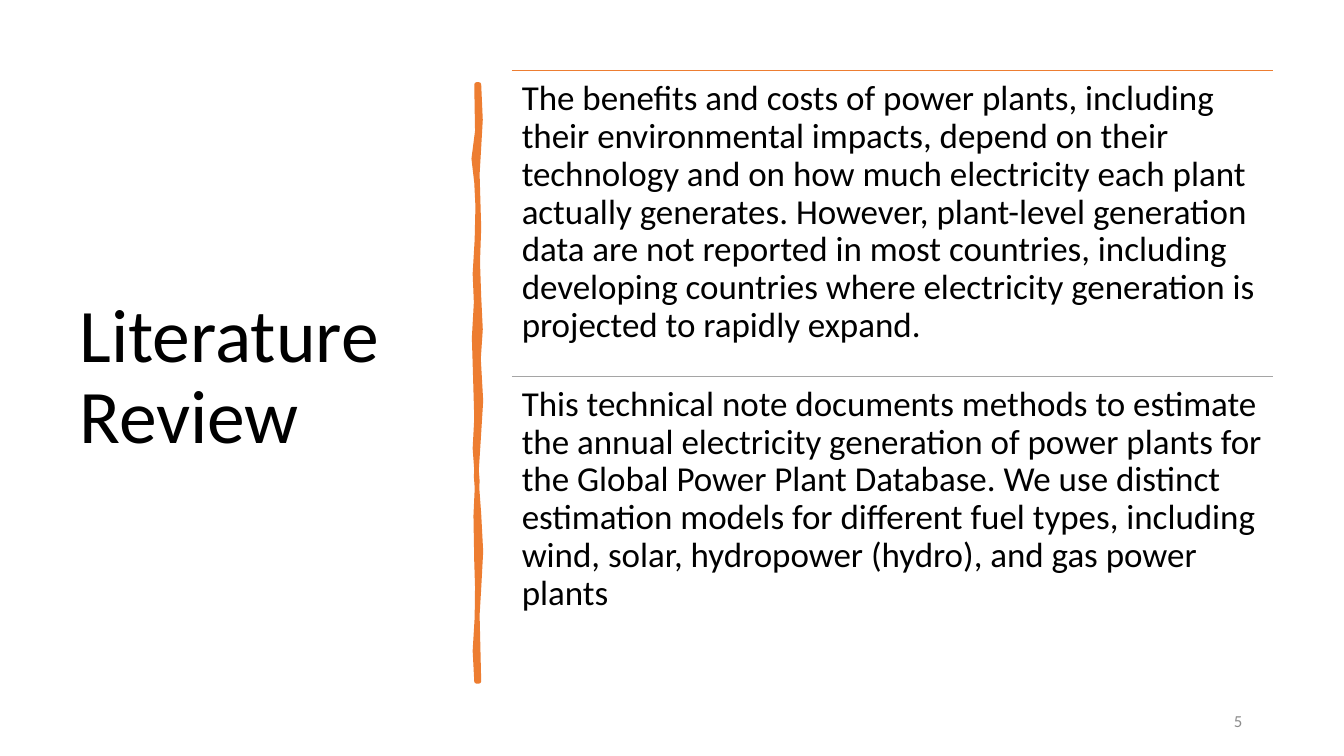
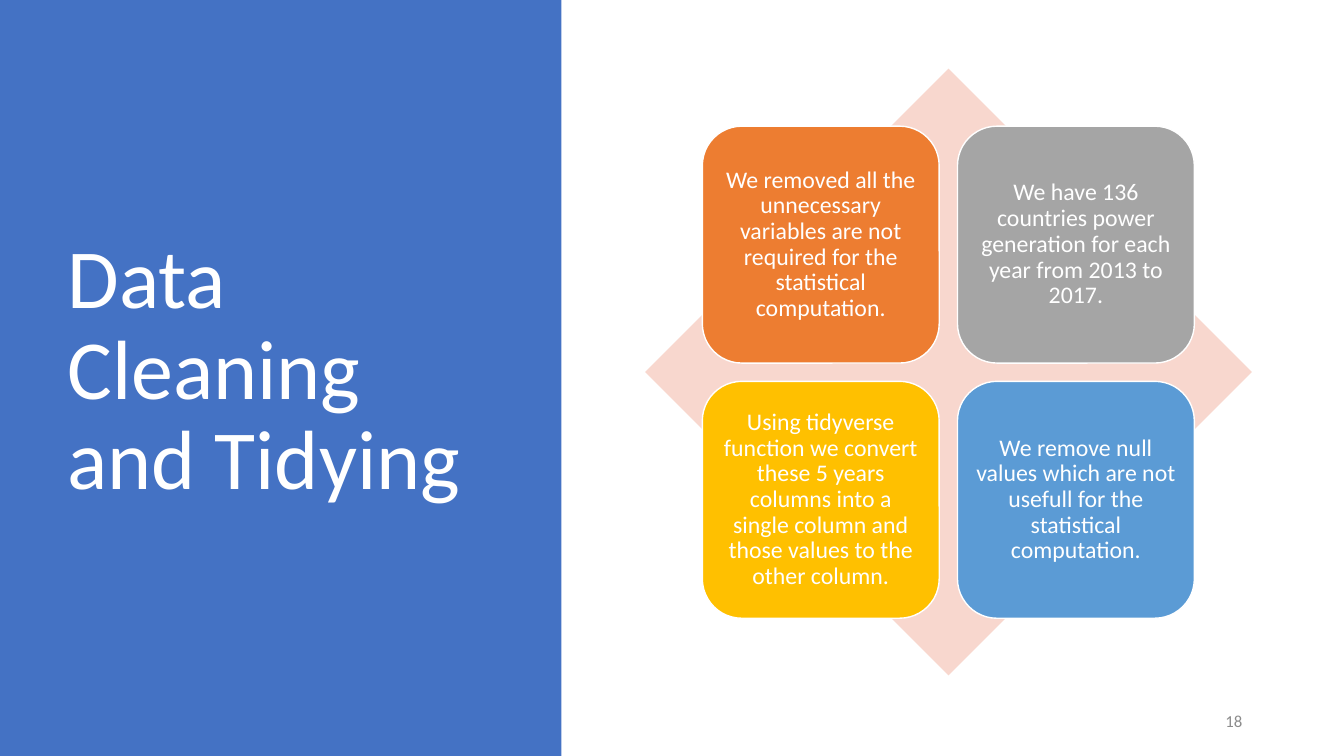
"""Build the literature review and data cleaning slides of a power plant study."""
from dataclasses import dataclass

from pptx import Presentation
from pptx import util as u
from pptx.dml.color import RGBColor
from pptx.enum import shapes, text
from pptx.oxml.ns import qn
from lxml import etree


@dataclass(frozen=True)
class Theme:
    font: str = "Calibri"
    black: str = "000000"
    white: str = "FFFFFF"
    muted: str = "8C8C8C"
    blue: str = "4472C4"
    orange: str = "ED7D31"
    gray: str = "A5A5A5"
    gold: str = "FFC000"
    sky: str = "5B9BD5"
    blush: str = "F8D7CE"
    review_title: int = 54
    panel_title: int = 60
    body: int = 25
    card: int = 17
    number: int = 12
    rule: float = 1
    brush: float = 3.25


THEME = Theme()
SHAPE = shapes.MSO_SHAPE
LEFT, CENTER, RIGHT = text.PP_ALIGN.LEFT, text.PP_ALIGN.CENTER, text.PP_ALIGN.RIGHT
TOP, MIDDLE = text.MSO_ANCHOR.TOP, text.MSO_ANCHOR.MIDDLE

BRUSH_RIGHT = [
    (1207, 213), (1211, 302), (1207, 371), (1203, 439), (1207, 574), (1204, 660),
    (1207, 747), (1211, 830), (1206, 904), (1212, 1010), (1206, 1107), (1200, 1200),
    (1207, 1295), (1212, 1390), (1207, 1483), (1203, 1550), (1207, 1717),
]
BRUSH_LEFT = [
    (1201, 1717), (1197, 1640), (1202, 1557), (1203, 1480), (1201, 1415), (1199, 1300),
    (1203, 1212), (1197, 1130), (1201, 1054), (1198, 950), (1195, 851), (1200, 762),
    (1197, 690), (1202, 605), (1204, 520), (1201, 460), (1194, 400), (1203, 330),
    (1201, 213),
]

FINDINGS = [
    (THEME.orange, "The benefits and costs of power plants, including their environmental "
     "impacts, depend on their technology and on how much electricity each plant actually "
     "generates. However, plant-level generation data are not reported in most countries, "
     "including developing countries where electricity generation is projected to rapidly "
     "expand."),
    (THEME.gray, "This technical note documents methods to estimate the annual electricity "
     "generation of power plants for the Global Power Plant Database. We use distinct "
     "estimation models for different fuel types, including wind, solar, hydropower (hydro), "
     "and gas power plants"),
]

STEPS = [
    (THEME.orange, "We removed all the unnecessary variables are not required for the "
     "statistical computation."),
    (THEME.gray, "We have 136 countries power generation for each year from 2013 to 2017."),
    (THEME.gold, "Using tidyverse function we convert these 5 years columns into a single "
     "column and those values to the other column."),
    (THEME.sky, "We remove null values which are not usefull for the statistical "
     "computation."),
]


class Deck:
    """Hold the theme, the presentation and the slide being built."""

    def __init__(self, theme):
        self.theme = theme
        self.prs = Presentation()
        self.prs.slide_width, self.prs.slide_height = u.Cm(33.87), u.Cm(19.05)
        self.slide = None

    def new_slide(self, number):
        self.slide = self.prs.slides.add_slide(self.prs.slide_layouts[6])
        return number

    def page_number(self, number):
        self.label(str(number), (23.94, 17.66, 7.62, 1.01), self.theme.number,
                   self.theme.muted, align=RIGHT)

    def set_words(self, frame, words, size, color, align, anchor, spacing, insets):
        frame.text = words
        frame.word_wrap = True
        frame.vertical_anchor = anchor
        frame.margin_left = frame.margin_right = u.Cm(insets[0])
        frame.margin_top = frame.margin_bottom = u.Cm(insets[1])
        paragraph = frame.paragraphs[0]
        paragraph.alignment = align
        paragraph.line_spacing = spacing
        font = paragraph.runs[0].font
        font.name, font.size = self.theme.font, u.Pt(size)
        font.color.rgb = RGBColor.from_string(color)

    def label(self, words, box, size, color, align=LEFT, anchor=MIDDLE,
              spacing=1.0, insets=(0.25, 0.13)):
        frame = self.slide.shapes.add_textbox(*map(u.Cm, box)).text_frame
        self.set_words(frame, words, size, color, align, anchor, spacing, insets)

    def title(self, words, box, size, color):
        self.label(words, box, size, color, spacing=0.9)

    def paint(self, shape, fill, line=None, width=1):
        shape.shadow.inherit = False
        shape.fill.solid()
        shape.fill.fore_color.rgb = RGBColor.from_string(fill)
        if line:
            shape.line.color.rgb = RGBColor.from_string(line)
            shape.line.width = u.Pt(width)
        else:
            shape.line.fill.background()

    def block(self, kind, box, fill, line=None):
        shape = self.slide.shapes.add_shape(kind, *map(u.Cm, box))
        self.paint(shape, fill, line)
        return shape

    def card(self, words, box, fill):
        shape = self.block(SHAPE.ROUNDED_RECTANGLE, box, fill, self.theme.white)
        self.set_words(shape.text_frame, words, self.theme.card, self.theme.white,
                       CENTER, MIDDLE, 0.9, (0.18, 0.18))

    def rule(self, left, top, width, color):
        line = self.slide.shapes.add_connector(
            shapes.MSO_CONNECTOR.STRAIGHT, *map(u.Cm, (left, top, left + width, top)))
        line.line.color.rgb = RGBColor.from_string(color)
        line.line.width = u.Pt(self.theme.rule)
        etree.SubElement(line._element.spPr, qn("a:effectLst"))

    def brush(self, points, color):
        builder = self.slide.shapes.build_freeform(*points[0], scale=u.Cm(0.01))
        builder.add_line_segments(points[1:], close=True)
        self.paint(builder.convert_to_shape(), color, color, self.theme.brush)


def literature_review(deck):
    theme = deck.theme
    number = deck.new_slide(5)
    deck.title("Literature Review", (1.75, 1.78, 9.5, 15.52), theme.review_title, theme.black)
    deck.brush(BRUSH_RIGHT + BRUSH_LEFT, theme.orange)
    left, top, width, height = 12.9, 1.78, 19.18, 7.7
    for row, (color, finding) in enumerate(FINDINGS):
        row_top = top + row * height
        deck.rule(left, row_top, width, color)
        deck.label(finding, (left, row_top, width, height), theme.body, theme.black,
                   anchor=TOP, spacing=0.9, insets=(0.25, 0.25))
    deck.page_number(number)


def data_cleaning(deck):
    theme = deck.theme
    number = deck.new_slide(18)
    deck.block(SHAPE.RECTANGLE, (0, 0, 14.15, 19.05), theme.blue)
    deck.title("Data Cleaning and Tidying", (1.45, 1.73, 10.57, 15.29),
               theme.panel_title, theme.white)
    deck.block(SHAPE.DIAMOND, (16.26, 1.73, 15.29, 15.29), theme.blush)
    left, top, side, pitch = 17.7, 3.18, 5.97, 6.43
    for index, (color, step) in enumerate(STEPS):
        row, column = divmod(index, 2)
        deck.card(step, (left + column * pitch, top + row * pitch, side, side), color)
    deck.page_number(number)


def main():
    deck = Deck(THEME)
    literature_review(deck)
    data_cleaning(deck)
    deck.prs.save("out.pptx")


if __name__ == "__main__":
    main()
